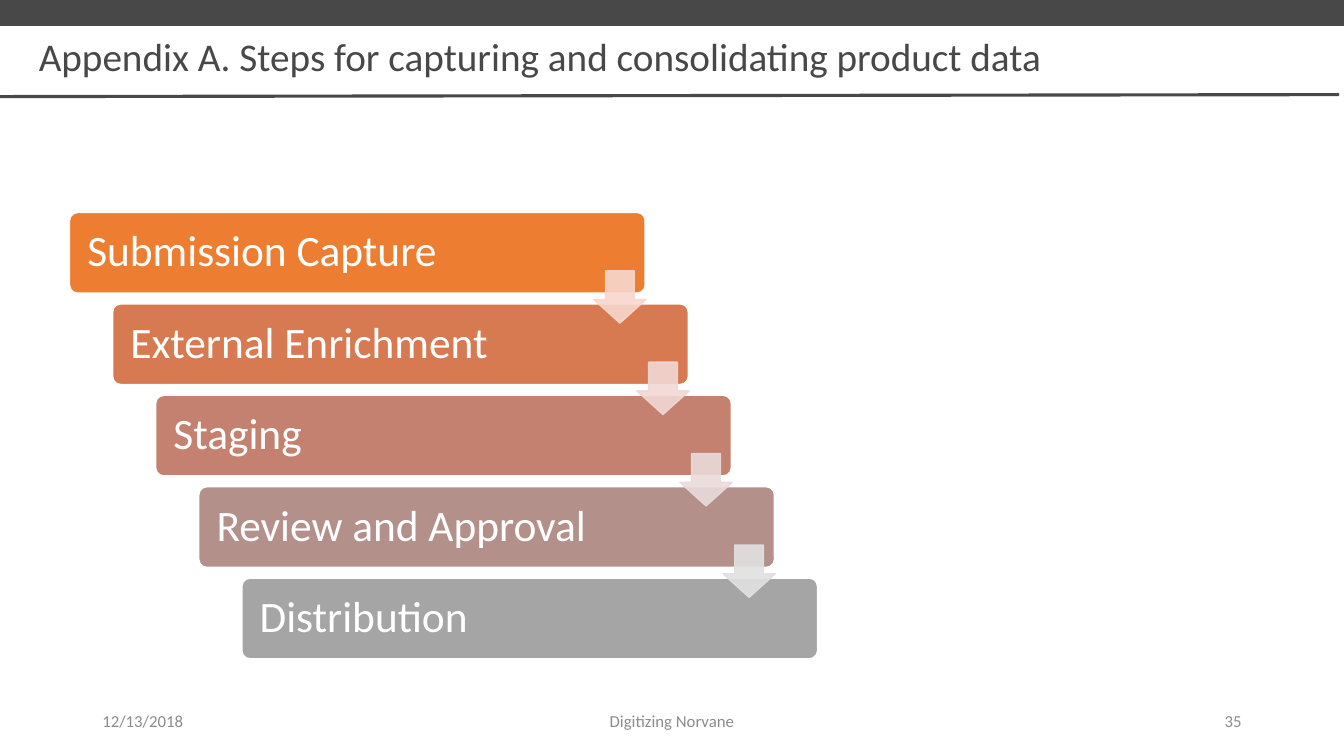
from lxml import etree
from pptx import Presentation
from pptx.dml.color import RGBColor
from pptx.enum.shapes import MSO_CONNECTOR, MSO_SHAPE
from pptx.enum.text import MSO_ANCHOR, MSO_AUTO_SIZE, PP_ALIGN
from pptx.oxml.ns import qn
from pptx.util import Pt

RECT, ROUNDED, DOWN = MSO_SHAPE.RECTANGLE, MSO_SHAPE.ROUNDED_RECTANGLE, MSO_SHAPE.DOWN_ARROW
STRAIGHT = MSO_CONNECTOR.STRAIGHT
TOP, MIDDLE = MSO_ANCHOR.TOP, MSO_ANCHOR.MIDDLE
LEFT, CENTER, RIGHT = PP_ALIGN.LEFT, PP_ALIGN.CENTER, PP_ALIGN.RIGHT
NO_FIT = MSO_AUTO_SIZE.NONE

FONT = "Calibri"
WHITE = RGBColor(0xFF, 0xFF, 0xFF)
DARK = RGBColor(0x48, 0x48, 0x48)
MUTED = RGBColor(0x8C, 0x8C, 0x8C)

STEPS = [
    ("Submission Capture", RGBColor(0xED, 0x7D, 0x31)),
    ("External Enrichment", RGBColor(0xD8, 0x7A, 0x51)),
    ("Staging", RGBColor(0xC4, 0x81, 0x70)),
    ("Review and Approval", RGBColor(0xB4, 0x90, 0x8B)),
    ("Distribution", RGBColor(0xA5, 0xA5, 0xA5)),
]
ARROW_COLORS = [
    RGBColor(0xF8, 0xD7, 0xCE),
    RGBColor(0xF1, 0xD8, 0xD4),
    RGBColor(0xE9, 0xDB, 0xDA),
    RGBColor(0xE1, 0xE1, 0xE1),
]


def set_text(sp, text, size, color, align=LEFT, anchor=MIDDLE, spacing=1.0):
    tf = sp.text_frame
    tf.text = text
    tf.word_wrap = True
    tf.auto_size = NO_FIT
    tf.vertical_anchor = anchor
    p = tf.paragraphs[0]
    p.alignment = align
    p.line_spacing = spacing
    font = p.runs[0].font
    font.name = FONT
    font.size = Pt(size)
    font.color.rgb = color


def add_filled(s, kind, x, y, w, h, fill, line=None):
    sp = s.shapes.add_shape(kind, Pt(x), Pt(y), Pt(w), Pt(h))
    sp.shadow.inherit = False
    sp.fill.solid()
    sp.fill.fore_color.rgb = fill
    if line is None:
        sp.line.fill.background()
    else:
        sp.line.color.rgb = line
        sp.line.width = Pt(1)
    return sp


def add_header(s, x, y, w, h):
    add_filled(s, RECT, x, y, w, 18.5, DARK)
    rule = s.shapes.add_connector(STRAIGHT, Pt(x), Pt(y + h), Pt(x + w - 4), Pt(y + h - 1.4))
    rule.line.color.rgb = DARK
    rule.line.width = Pt(2.25)
    etree.SubElement(rule._element.spPr, qn("a:effectLst"))
    title = s.shapes.title
    title.left, title.top = Pt(x + 23), Pt(y + 23)
    title.width, title.height = Pt(w - 44), Pt(52.5)
    set_text(title, "Appendix A. Steps for capturing and consolidating product data",
             28, DARK, anchor=TOP, spacing=0.9)


def add_arrow(s, x, y, size, color):
    sp = add_filled(s, DOWN, x, y, size, size, color, color)
    sp.adjustments[0] = 0.55
    sp.adjustments[1] = 0.45
    for clr in sp._element.spPr.iter(qn("a:srgbClr")):
        etree.SubElement(clr, qn("a:alpha"), val="90000")


def add_staircase(s, x, y, w, h):
    step_w, step_h, arrow = 411.2, 57.6, 37.4
    dx = (w - step_w) / (len(STEPS) - 1)
    dy = (h - step_h) / (len(STEPS) - 1)
    for i, (label, color) in enumerate(STEPS):
        sp = add_filled(s, ROUNDED, x + i * dx, y + i * dy, step_w, step_h, color, WHITE)
        sp.adjustments[0] = 0.1
        sp.text_frame.margin_left = Pt(11)
        set_text(sp, label, 31, WHITE, spacing=0.9)
    for i, color in enumerate(ARROW_COLORS):
        add_arrow(s, x + i * dx + step_w - arrow + 0.6, y + i * dy + 41.6, arrow, color)


def add_footer(s, x, y, w, h):
    parts = [
        ("12/13/2018", 0, 216, LEFT),
        ("Digitizing Norvane", (w - 324) / 2, 324, CENTER),
        ("35", w - 216, 216, RIGHT),
    ]
    for text, offset, width, align in parts:
        sp = s.shapes.add_textbox(Pt(x + offset), Pt(y), Pt(width), Pt(h))
        set_text(sp, text, 12, MUTED, align)


def main():
    prs = Presentation()
    prs.slide_width, prs.slide_height = Pt(960), Pt(540)
    s = prs.slides.add_slide(prs.slide_layouts[5])
    add_header(s, -2.5, 0, 963, 69)
    add_footer(s, 66, 500.5, 828, 28.8)
    add_staircase(s, 49.7, 151.8, 534.3, 318.8)
    prs.save("out.pptx")


if __name__ == "__main__":
    main()
